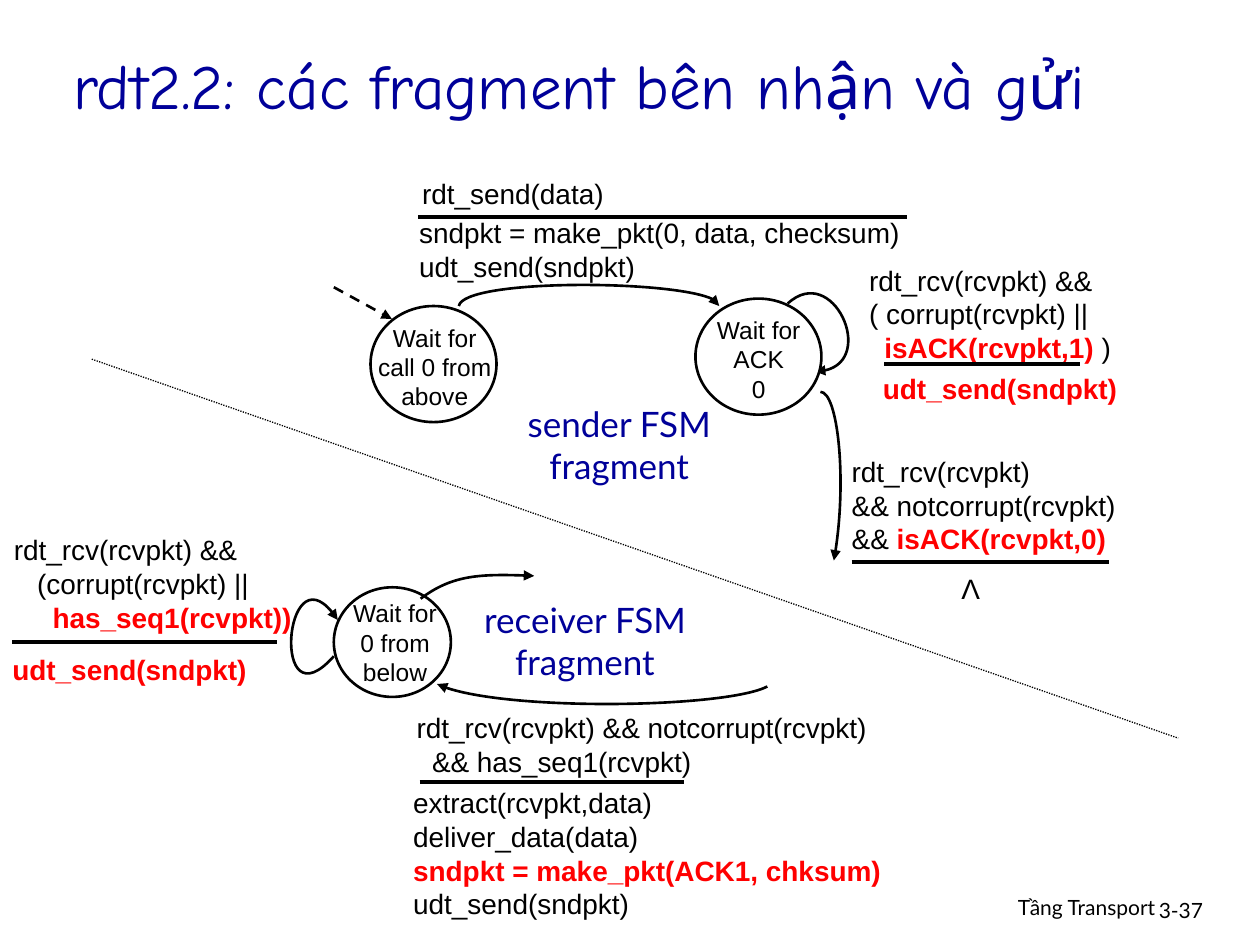
import pptx
import pptx.dml.color
import pptx.enum.dml
import pptx.enum.shapes
import pptx.enum.text
import pptx.oxml.ns
import pptx.oxml.xmlchemy
import pptx.util

Cm = pptx.util.Cm
Pt = pptx.util.Pt
RGB = pptx.dml.color.RGBColor
Align = pptx.enum.text.PP_ALIGN
Anchor = pptx.enum.text.MSO_ANCHOR
Dash = pptx.enum.dml.MSO_LINE
Shape = pptx.enum.shapes.MSO_SHAPE
Wire = pptx.enum.shapes.MSO_CONNECTOR
qn = pptx.oxml.ns.qn
make = pptx.oxml.xmlchemy.OxmlElement

BLACK = RGB(0, 0, 0)
WHITE = RGB(255, 255, 255)
RED = RGB(255, 0, 0)
NAVY = RGB(0, 0, 0x99)


def add_text(slide, box, lines, size=16, font="Arial", color=BLACK,
             align=Align.LEFT, anchor=Anchor.TOP, indents=()):
    frame = slide.shapes.add_textbox(*map(Cm, box)).text_frame
    frame.word_wrap = True
    frame.vertical_anchor = anchor
    for i, line in enumerate(lines):
        para = frame.paragraphs[0] if i == 0 else frame.add_paragraph()
        para.alignment = align
        if i < len(indents):
            para._p.get_or_add_pPr().set("marL", str(Cm(indents[i])))
        for j, part in enumerate(line.split("*")):
            if not part:
                continue
            strong = j % 2 == 1
            run = para.add_run()
            run.text = part
            run.font.size = Pt(size)
            run.font.name = font
            run.font.bold = strong
            run.font.color.rgb = RED if strong else color


def add_tip(shape):
    tip = make("a:tailEnd")
    tip.set("type", "triangle")
    shape.line._get_or_add_ln().append(tip)


def add_line(slide, start, end, width=2.25, dash=None, tip=False):
    line = slide.shapes.add_connector(
        Wire.STRAIGHT, *map(Cm, start), *map(Cm, end))
    line.line.color.rgb = BLACK
    line.line.width = Pt(width)
    if dash:
        line.line.dash_style = dash
    if tip:
        add_tip(line)
    line._element.spPr.append(make("a:effectLst"))


def add_curve(slide, *points):
    spots = [(Cm(x), Cm(y)) for x, y in points]
    pen = slide.shapes.build_freeform(*spots[0])
    pen.add_line_segments(spots[1:], close=False)
    curve = pen.convert_to_shape()
    route = curve._element.find(".//" + qn("a:path"))
    bend = make("a:cubicBezTo")
    for part in route.findall(qn("a:lnTo")):
        bend.append(part[0])
        route.remove(part)
    route.append(bend)
    curve.fill.background()
    curve.line.color.rgb = BLACK
    curve.line.width = Pt(1.5)
    curve.shadow.inherit = False
    add_tip(curve)


def add_state(slide, oval, box, lines):
    state = slide.shapes.add_shape(Shape.OVAL, *map(Cm, oval))
    state.fill.solid()
    state.fill.fore_color.rgb = WHITE
    state.line.color.rgb = BLACK
    state.line.width = Pt(1.5)
    state.shadow.inherit = False
    add_text(slide, box, lines, size=14, align=Align.CENTER)


def add_name(slide, box, role):
    add_text(slide, box, [role + " FSM", "fragment"], size=20, font="Lato",
             color=NAVY, align=Align.CENTER)


def draw_sender(slide):
    add_state(slide, (7.47, 6.17, 2.54, 2.34), (7.29, 6.38, 2.95, 1.7),
              ["Wait for call 0 from above"])
    add_text(slide, (8.2, 4.22, 10.34, 1.12),
             ["sndpkt = make_pkt(0, data, checksum)", "udt_send(sndpkt)"])
    add_text(slide, (8.26, 3.43, 4.8, 0.79), ["rdt_send(data)"])
    add_line(slide, (8.43, 4.37), (18.29, 4.37))
    add_line(slide, (6.73, 5.79), (7.9, 6.43), 1.5, Dash.DASH, True)
    add_curve(slide, (9.25, 6.17), (9.35, 5.61), (14.5, 5.64), (14.5, 6.17))
    add_curve(slide, (15.88, 6.12), (16.79, 5.28), (17.78, 7.47), (16.43, 7.49))
    add_text(slide, (17.55, 7.37, 5.89, 1.12), ["*udt_send(sndpkt)*"])
    add_text(slide, (17.27, 5.18, 7.54, 1.6),
             ["rdt_rcv(rcvpkt) &&", "( corrupt(rcvpkt) ||",
              "*isACK(rcvpkt,1)* )"], indents=(0, 0, 0.31))
    add_line(slide, (17.83, 7.34), (21.77, 7.34))
    add_curve(slide, (16.54, 7.9), (16.89, 7.9), (17.09, 9.78), (16.81, 11.3))
    add_text(slide, (16.92, 9.04, 6.71, 1.6),
             ["rdt_rcv(rcvpkt)", "&& notcorrupt(rcvpkt)",
              "&& *isACK(rcvpkt,0)*"])
    add_line(slide, (17.17, 11.33), (22.35, 11.33))
    add_text(slide, (19.05, 11.4, 1.04, 0.94), ["Λ"], align=Align.CENTER)
    add_state(slide, (14.02, 6.02, 2.54, 2.34), (13.82, 6.22, 2.95, 1.7),
              ["Wait for ACK", "0"])
    add_name(slide, (10.29, 7.98, 4.39, 1.96), "sender")


def draw_receiver(slide):
    add_text(slide, (8.15, 14.2, 10.95, 1.6),
             ["rdt_rcv(rcvpkt) && notcorrupt(rcvpkt)",
              "&& has_seq1(rcvpkt)"], indents=(0, 0.31))
    add_text(slide, (8.08, 15.72, 11.61, 1.93),
             ["extract(rcvpkt,data)", "deliver_data(data)",
              "*sndpkt = make_pkt(ACK1, chksum)*", "udt_send(sndpkt)"])
    add_state(slide, (6.73, 11.84, 2.36, 2.21), (6.86, 11.94, 2.21, 1.7),
              ["Wait for", "0 from below"])
    add_curve(slide, (8.48, 12.07), (9.09, 11.61), (9.7, 11.56), (10.77, 11.61))
    add_curve(slide, (15.47, 13.84), (14.63, 14.27), (9.98, 14.35), (8.81, 13.79))
    add_line(slide, (8.46, 15.77), (13.79, 15.77))
    add_curve(slide, (6.73, 13.23), (5.46, 14.66), (5.74, 10.87), (6.81, 12.5))
    add_line(slide, (0.25, 12.95), (5.59, 12.95))
    add_text(slide, (0.03, 10.62, 6.55, 1.78),
             ["rdt_rcv(rcvpkt) &&", "(corrupt(rcvpkt) ||",
              "*has_seq1(rcvpkt))*"], indents=(0, 0.47, 0.78))
    add_text(slide, (0, 13.03, 5.66, 1.14), ["*udt_send(sndpkt)*"])
    add_name(slide, (9.42, 11.94, 4.75, 1.96), "receiver")


def main():
    deck = pptx.Presentation()
    deck.slide_width = Cm(25.4)
    deck.slide_height = Cm(19.05)
    slide = deck.slides.add_slide(deck.slide_layouts[6])
    add_text(slide, (15.49, 17.91, 8.05, 0.79), ["Tầng Transport"],
             size=12, font="Lato", align=Align.RIGHT)
    add_text(slide, (23.11, 17.96, 1.88, 0.76), ["3-37"], size=12, font="Lato")
    add_text(slide, (1.24, 0.48, 22.71, 2.46),
             ["rdt2.2: các fragment bên nhận và gửi"], size=36,
             font="Comic Neue", color=NAVY, anchor=Anchor.MIDDLE)
    draw_sender(slide)
    add_line(slide, (1.85, 7.24), (23.75, 14.88), 0.75, Dash.ROUND_DOT)
    draw_receiver(slide)
    deck.save("out.pptx")


if __name__ == "__main__":
    main()
